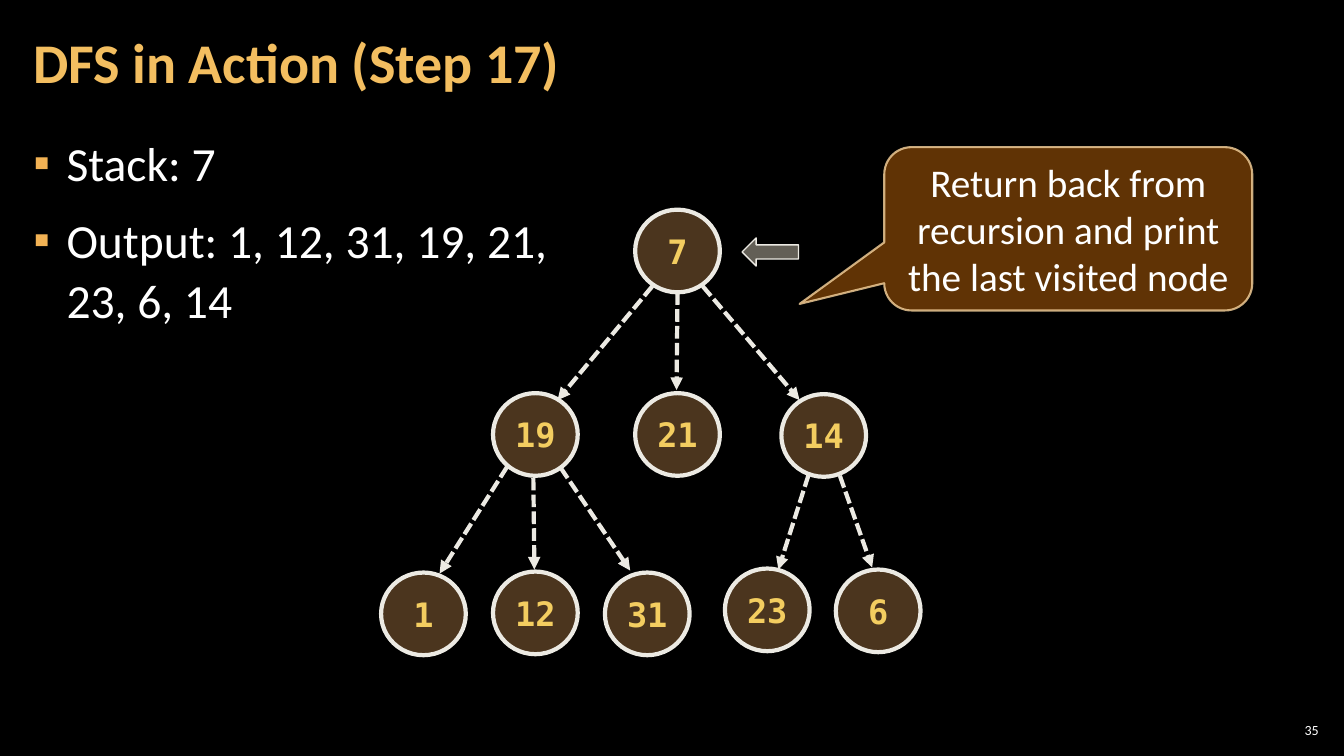
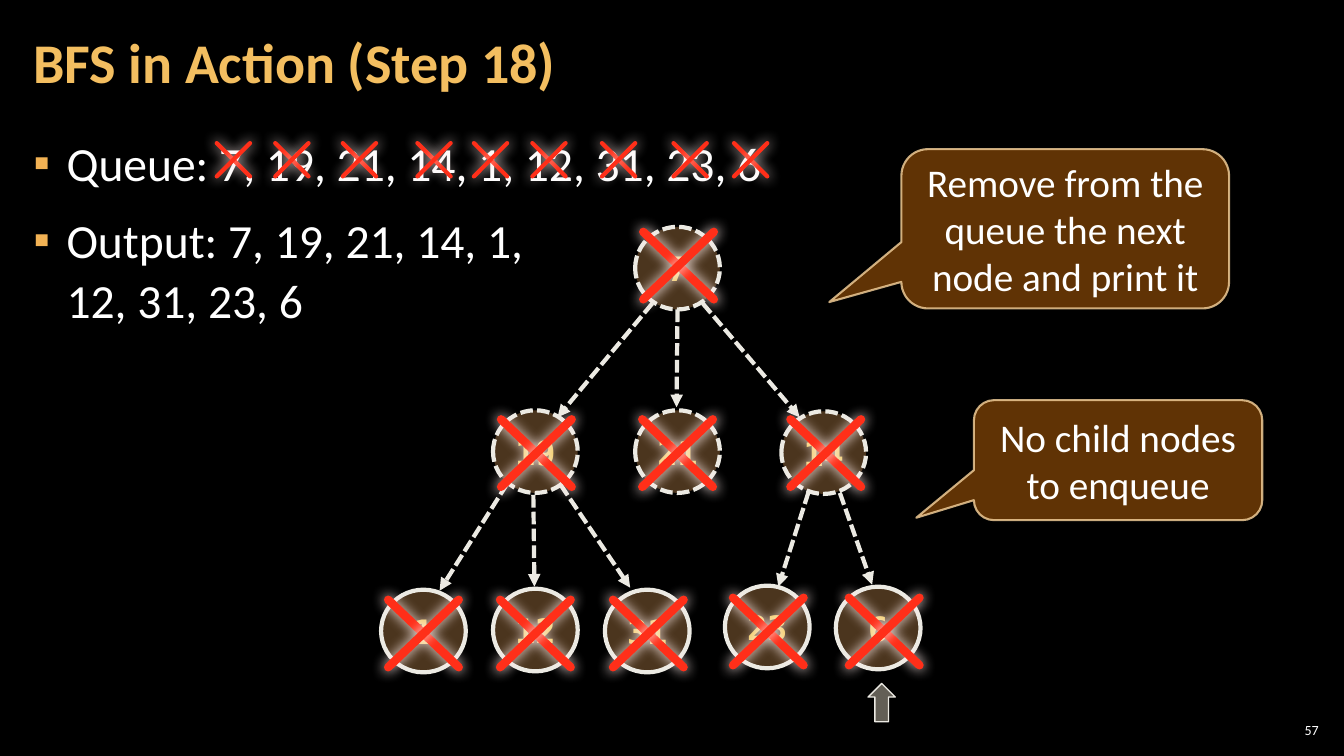
"""Build two slides that trace DFS and BFS over the same tree."""
from lxml import etree
from pptx import Presentation
from pptx.dml.color import RGBColor
from pptx.enum.dml import MSO_LINE
from pptx.enum.shapes import MSO_CONNECTOR, MSO_SHAPE
from pptx.enum.text import MSO_ANCHOR, MSO_AUTO_SIZE, PP_ALIGN
from pptx.oxml.ns import qn
from pptx.util import Inches, Pt

DASH = MSO_LINE.SQUARE_DOT
STRAIGHT = MSO_CONNECTOR.STRAIGHT
OVAL = MSO_SHAPE.OVAL
BUBBLE = MSO_SHAPE.ROUNDED_RECTANGULAR_CALLOUT
LEFT_ARROW, UP_ARROW = MSO_SHAPE.LEFT_ARROW, MSO_SHAPE.UP_ARROW
MIDDLE = MSO_ANCHOR.MIDDLE
LEFT, CENTER, RIGHT = PP_ALIGN.LEFT, PP_ALIGN.CENTER, PP_ALIGN.RIGHT

SANS, MONO = "Calibri", "DejaVu Sans Mono"
COLORS = {
    "back": "000000", "text": "FFFFFF", "title": "F3BE60", "bullet": "F2B254",
    "node": "6C4C2C", "label": "F3CD60", "edge": "ECEAE3", "arrow": "C7BFAC",
    "note": "663606", "rim": "F8D49E", "cross": "FF2F19", "glow": "FFEDEB",
}

NODE = (0.84, 0.82)
INNER = [("7", 6.3, 2.08), ("19", 4.89, 3.9), ("21", 6.3, 3.9), ("14", 7.75, 3.91)]
LEAVES = [("1", 3.78, 5.68), ("12", 4.89, 5.67), ("31", 6, 5.68),
          ("23", 7.19, 5.64), ("6", 8.29, 5.65)]
EDGES = [
    (6.47, 2.84, 5.53, 3.97), (6.72, 2.9, 6.71, 3.87), (6.97, 2.84, 7.93, 3.97),
    (5.03, 4.63, 4.36, 5.69), (5.29, 4.74, 5.3, 5.65), (5.56, 4.64, 6.25, 5.66),
    (8.02, 4.71, 7.72, 5.65), (8.33, 4.72, 8.65, 5.63),
]
STRIKES = [(x, 1.42) for x in (2.15, 2.73, 3.4, 4.14, 4.7, 5.28, 5.97, 6.68, 7.28)]
MARKS = [(6.38, 2.3), (4.97, 4.16), (6.37, 4.16), (7.84, 4.16), (3.85, 5.95),
         (4.96, 5.95), (6.08, 5.95), (7.27, 5.93), (8.42, 5.93)]

SLIDES = [
    {
        "title": "DFS in Action (Step 17)", "number": "35",
        "list": ["Stack: 7", "Output: 1, 12, 31, 19, 21,\n23, 6, 14"],
        "shift": 0, "rim": None,
        "arrow": (LEFT_ARROW, (7.36, 2.36, 0.56, 0.28)),
        "crosses": [],
        "notes": [("Return back from recursion and print the last visited node",
                   (8.77, 1.46, 3.65, 1.62), (-0.73, 0.46))],
    },
    {
        "title": "BFS in Action (Step 18)", "number": "57",
        "list": ["Queue: 7, 19, 21, 14, 1, 12, 31, 23, 6",
                 "Output: 7, 19, 21, 14, 1,\n12, 31, 23, 6"],
        "shift": 0.17, "rim": DASH,
        "arrow": (UP_ARROW, (8.61, 6.78, 0.27, 0.38)),
        "crosses": [(STRIKES, 0.33, 0.33, 3), (MARKS, 0.7, 0.67, 6)],
        "notes": [("No child nodes to enqueue",
                   (9.66, 3.97, 2.86, 1.19), (-0.7, 0.48)),
                  ("Remove from the queue the next node and print it",
                   (8.94, 1.48, 3.25, 1.58), (-0.72, 0.46))],
    },
]


def color(name):
    return RGBColor.from_string(COLORS[name])


def inches(box):
    return [Inches(v) for v in box]


def add_xml(parent, tag, **attrs):
    return etree.SubElement(parent, qn(tag), attrs)


def set_alpha(parent, value):
    tone = parent.find(qn("a:solidFill")).find(qn("a:srgbClr"))
    add_xml(tone, "a:alpha", val=str(value * 1000))


def style(par, size, tone, font=SANS, bold=False, align=LEFT):
    par.alignment = align
    for run in par.runs:
        run.font.name, run.font.size, run.font.bold = font, Pt(size), bold
        run.font.color.rgb = color(tone)


def set_frame(frame, side, anchor):
    frame.margin_left = frame.margin_right = Inches(side)
    frame.margin_top = frame.margin_bottom = Inches(0.04)
    frame.vertical_anchor = anchor
    frame.word_wrap = True
    frame.auto_size = MSO_AUTO_SIZE.NONE


def set_theme(deck):
    fill = deck.slide_master.background.fill
    fill.solid()
    fill.fore_color.rgb = color("back")
    layout = deck.slide_layouts[1]
    boxes = [((0.21, 0.04, 10.47, 1.21), MIDDLE),
             ((0.21, 1.26, 12.91, 6.09), MSO_ANCHOR.TOP)]
    for index, (box, anchor) in enumerate(boxes):
        holder = layout.placeholders[index]
        holder.left, holder.top, holder.width, holder.height = inches(box)
        set_frame(holder.text_frame, 0.12, anchor)
    return layout


def add_list(frame, items):
    frame.text = items[0]
    for item in items[1:]:
        frame.add_paragraph().text = item
    for par in frame.paragraphs:
        style(par, 34, "text")
        par.line_spacing = 1.05
        par.space_before = par.space_after = Pt(6)
        props = par._p.get_or_add_pPr()
        props.set("marL", str(Inches(0.33)))
        props.set("indent", str(Inches(-0.33)))
        add_xml(add_xml(props, "a:buClr"), "a:srgbClr", val=COLORS["bullet"])
        add_xml(props, "a:buChar", char="▪")


def add_shape(shapes, kind, box, tone, alpha, rim, width):
    shape = shapes.add_shape(kind, *inches(box))
    shape.shadow.inherit = False
    shape.fill.solid()
    shape.fill.fore_color.rgb = color(tone)
    set_alpha(shape._element.spPr, alpha)
    shape.line.color.rgb = color(rim)
    shape.line.width = Pt(width)
    return shape


def add_line(shapes, ends, tone, width):
    line = shapes.add_connector(STRAIGHT, *inches(ends))
    line.line.color.rgb = color(tone)
    line.line.width = Pt(width)
    return line, add_xml(line._element.spPr, "a:effectLst")


def add_tree(shapes, shift, rim):
    group = shapes.add_group_shape().shapes
    for nodes, dash in ((INNER, rim), (LEAVES, None)):
        for label, x, y in nodes:
            node = add_shape(group, OVAL, (x, y + shift, *NODE), "node", 70, "edge", 3)
            node.line.dash_style = dash
            frame = node.text_frame
            frame.text = label
            frame.word_wrap = False
            frame.vertical_anchor = MIDDLE
            style(frame.paragraphs[0], 24, "label", MONO, True, CENTER)
    for x1, y1, x2, y2 in EDGES:
        edge, _ = add_line(group, (x1, y1 + shift, x2, y2 + shift), "edge", 3)
        edge.line.dash_style = DASH
        add_xml(edge._element.spPr.find(qn("a:ln")), "a:tailEnd", type="triangle")


def add_cross(shapes, x, y, wide, high, width):
    group = shapes.add_group_shape().shapes
    for start, end in ((x, x + wide), (x + wide, x)):
        line, effect = add_line(group, (start, y, end, y + high), "cross", width)
        line._element.spPr.find(qn("a:ln")).set("cap", "rnd")
        glow = add_xml(effect, "a:outerShdw", blurRad=str(Pt(10)), dist="0",
                       algn="ctr", rotWithShape="0")
        add_xml(glow, "a:srgbClr", val=COLORS["glow"])


def add_note(shapes, text, box, tip):
    note = add_shape(shapes, BUBBLE, box, "note", 95, "rim", 1.5)
    set_alpha(note._element.spPr.find(qn("a:ln")), 80)
    note.adjustments[0], note.adjustments[1] = tip
    frame = note.text_frame
    frame.text = text
    frame.word_wrap = True
    frame.vertical_anchor = MIDDLE
    style(frame.paragraphs[0], 28, "text", align=CENTER)


def add_number(shapes, number):
    frame = shapes.add_textbox(*inches((12.65, 7.14, 0.47, 0.21))).text_frame
    set_frame(frame, 0.04, MIDDLE)
    frame.text = number
    style(frame.paragraphs[0], 10, "text", align=RIGHT)


def add_slide(deck, layout, data):
    slide = deck.slides.add_slide(layout)
    shapes = slide.shapes
    shapes.title.text_frame.text = data["title"]
    head = shapes.title.text_frame.paragraphs[0]
    style(head, 40, "title", bold=True)
    head.line_spacing = 0.9
    add_list(slide.placeholders[1].text_frame, data["list"])
    add_number(shapes, data["number"])
    add_tree(shapes, data["shift"], data["rim"])
    for spots, wide, high, width in data["crosses"]:
        for x, y in spots:
            add_cross(shapes, x, y, wide, high, width)
    kind, box = data["arrow"]
    add_shape(shapes, kind, box, "arrow", 50, "edge", 1)
    for note in data["notes"]:
        add_note(shapes, *note)


def main():
    deck = Presentation()
    deck.slide_width, deck.slide_height = inches((13.33, 7.5))
    layout = set_theme(deck)
    for data in SLIDES:
        add_slide(deck, layout, data)
    deck.save("out.pptx")


if __name__ == "__main__":
    main()
